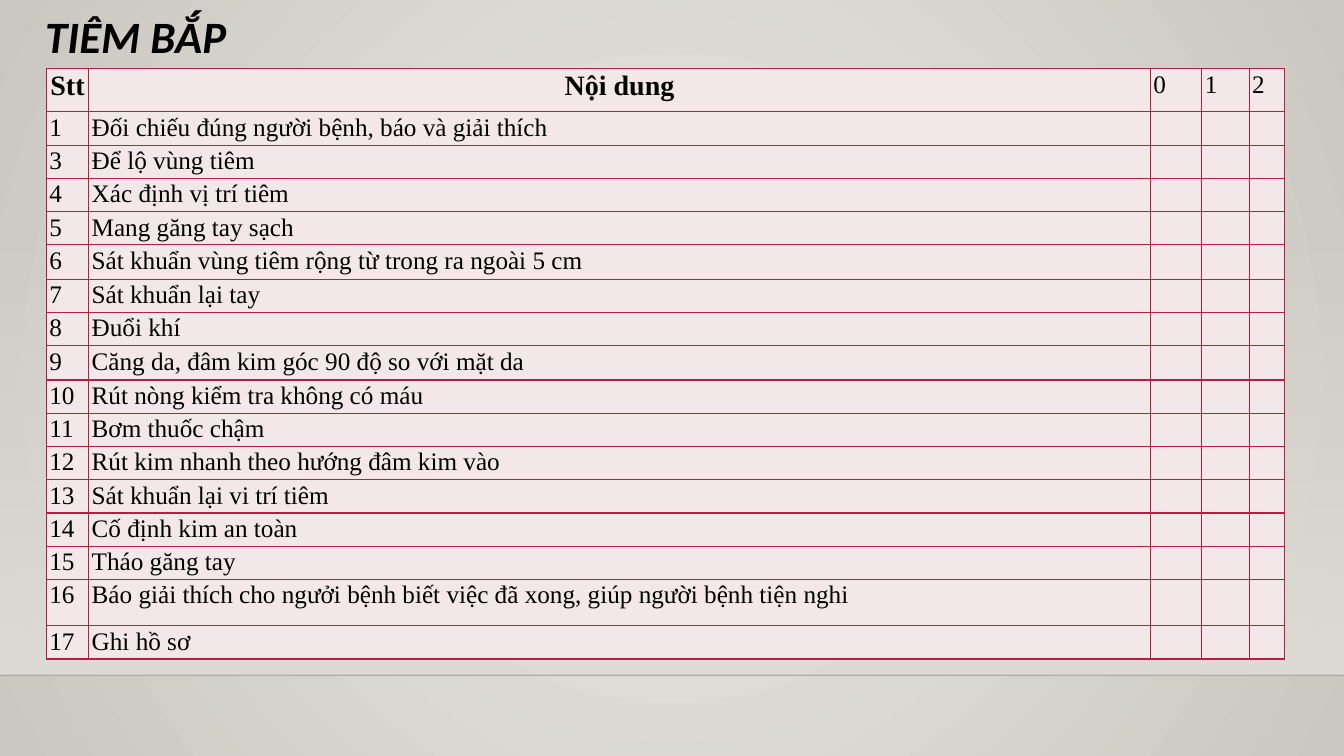
from lxml.etree import SubElement
from pptx import Presentation
from pptx.dml.color import RGBColor
from pptx.enum.shapes import MSO_CONNECTOR, MSO_SHAPE
from pptx.enum.text import MSO_ANCHOR, PP_ALIGN
from pptx.oxml.ns import qn
from pptx.util import Inches, Pt


def color(value):
    return RGBColor.from_string(value)


def add_alpha(parent, percent):
    for tint in parent.iter(qn("a:srgbClr")):
        SubElement(tint, qn("a:alpha"), val=str(percent * 1000))


deck = Presentation()
deck.slide_width, deck.slide_height = Inches(13.33), Inches(7.5)
page = deck.slides.add_slide(deck.slide_layouts[6])

# Radial background
backdrop = page.background.fill
backdrop.gradient()
for stop, tone in zip(backdrop.gradient_stops, ("ECEAE7", "CAC7C1")):
    stop.color.rgb = color(tone)
linear = page._element.find(".//" + qn("a:lin"))
gradient = linear.getparent()
gradient.remove(linear)
radial = SubElement(gradient, qn("a:path"), path="circle")
SubElement(radial, qn("a:fillToRect"), l="50000", t="50000", r="50000", b="50000")

# Wall fading in down to the floor line
wall = page.shapes.add_shape(MSO_SHAPE.RECTANGLE, 0, Inches(2.21), Inches(13.33), Inches(4.49))
wall.shadow.inherit = False
wall.line.fill.background()
wall.fill.gradient()
wall.fill.gradient_angle = 270
for stop in wall.fill.gradient_stops:
    stop.color.rgb = color("DFDBD5")
add_alpha(wall._element.spPr.find(".//" + qn("a:gs")), 0)

floor = page.shapes.add_connector(MSO_CONNECTOR.STRAIGHT, 0, Inches(6.7), Inches(13.33), Inches(6.7))
floor.line.color.rgb = color("000001")
floor.line.width = Pt(1)
add_alpha(floor._element.spPr, 20)
SubElement(floor._element.spPr, qn("a:effectLst"))

# Title
title = page.shapes.add_textbox(Inches(0.35), Inches(0.1), Inches(10.5), Inches(1.15))
title.text_frame.word_wrap = True
para = title.text_frame.paragraphs[0]
para.text = "TIÊM BẮP"
para.line_spacing = 0.9
para.font.name, para.font.size = "Calibri", Pt(32)
para.font.bold = para.font.italic = True
para.font.color.rgb = color("000000")

# Checklist content
rows = [
    ("Stt", "Nội dung", "0", "1", "2"),
    ("1", "Đối chiếu đúng người bệnh, báo và giải thích"),
    ("3", "Để lộ vùng tiêm"),
    ("4", "Xác định vị trí tiêm"),
    ("5", "Mang găng tay sạch"),
    ("6", "Sát khuẩn vùng tiêm rộng từ trong ra ngoài 5 cm"),
    ("7", "Sát khuẩn lại tay"),
    ("8", "Đuổi khí"),
    ("9", "Căng da, đâm kim góc 90 độ so với mặt da"),
    ("10", "Rút nòng kiểm tra không có máu"),
    ("11", "Bơm thuốc chậm"),
    ("12", "Rút kim nhanh theo hướng đâm kim vào"),
    ("13", "Sát khuẩn lại vi trí tiêm"),
    ("14", "Cố định kim an toàn"),
    ("15", "Tháo găng tay"),
    ("16", "Báo giải thích cho ngưởi bệnh biết việc đã xong, giúp người bệnh tiện nghi"),
    ("17", "Ghi hồ sơ"),
]
column_widths = (0.42, 10.53, 0.51, 0.47, 0.35)
tall_rows = {0: 0.43, 5: 0.34, 8: 0.34, 15: 0.46}
row_heights = [tall_rows.get(index, 0.31) for index in range(len(rows))]

# Checklist table
table = page.shapes.add_table(
    len(rows), len(column_widths), Inches(0.46), Inches(0.68),
    Inches(sum(column_widths)), Inches(sum(row_heights))).table
for column, width in zip(table.columns, column_widths):
    column.width = Inches(width)
for row, height, texts in zip(table.rows, row_heights, rows):
    row.height = Inches(height)
    for index, cell in enumerate(row.cells):
        heading = texts is rows[0] and index < 2
        cell.margin_left = cell.margin_right = Inches(0.03)
        cell.margin_top, cell.margin_bottom = Inches(0.02), Inches(0.01)
        cell.vertical_anchor = MSO_ANCHOR.TOP
        para = cell.text_frame.paragraphs[0]
        if index < len(texts):
            para.text = texts[index]
            para.alignment = PP_ALIGN.CENTER if heading else PP_ALIGN.LEFT
            para.font.name = "Times New Roman"
            para.font.size = Pt(20 if heading else 18)
            para.font.bold = heading
            para.font.color.rgb = color("000000")
        else:
            # Keeps empty score cells as low as the text beside them
            ending = SubElement(para._p, qn("a:endParaRPr"), sz="1800")
            SubElement(ending, qn("a:latin"), typeface="Times New Roman")
        properties = cell._tc.get_or_add_tcPr()
        for side in ("a:lnL", "a:lnR", "a:lnT", "a:lnB"):
            border = SubElement(properties, qn(side), w=str(Pt(1)))
            SubElement(SubElement(border, qn("a:solidFill")), qn("a:srgbClr"), val="B71E42")
        cell.fill.solid()
        cell.fill.fore_color.rgb = color("F3E8E9")

deck.save("out.pptx")
